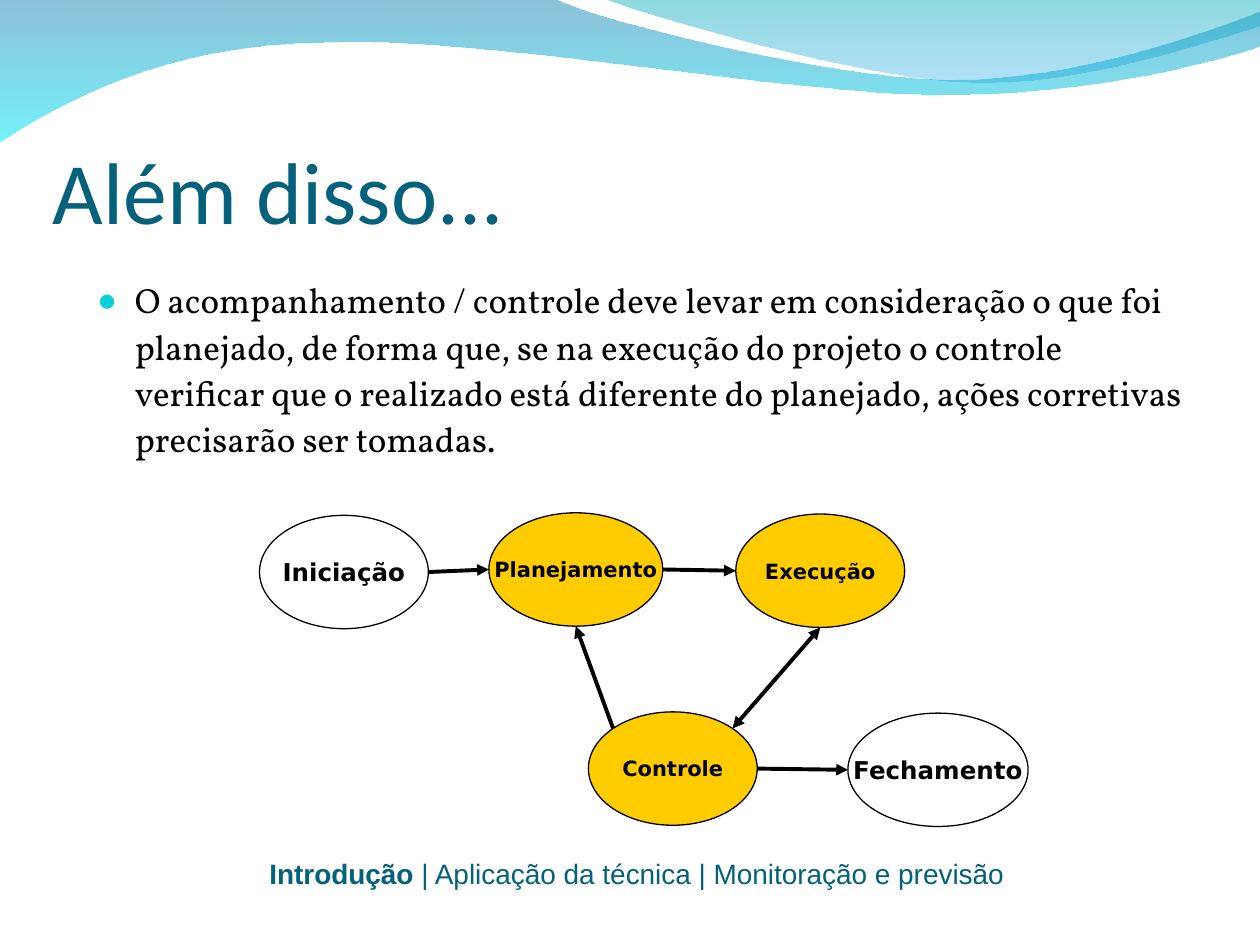
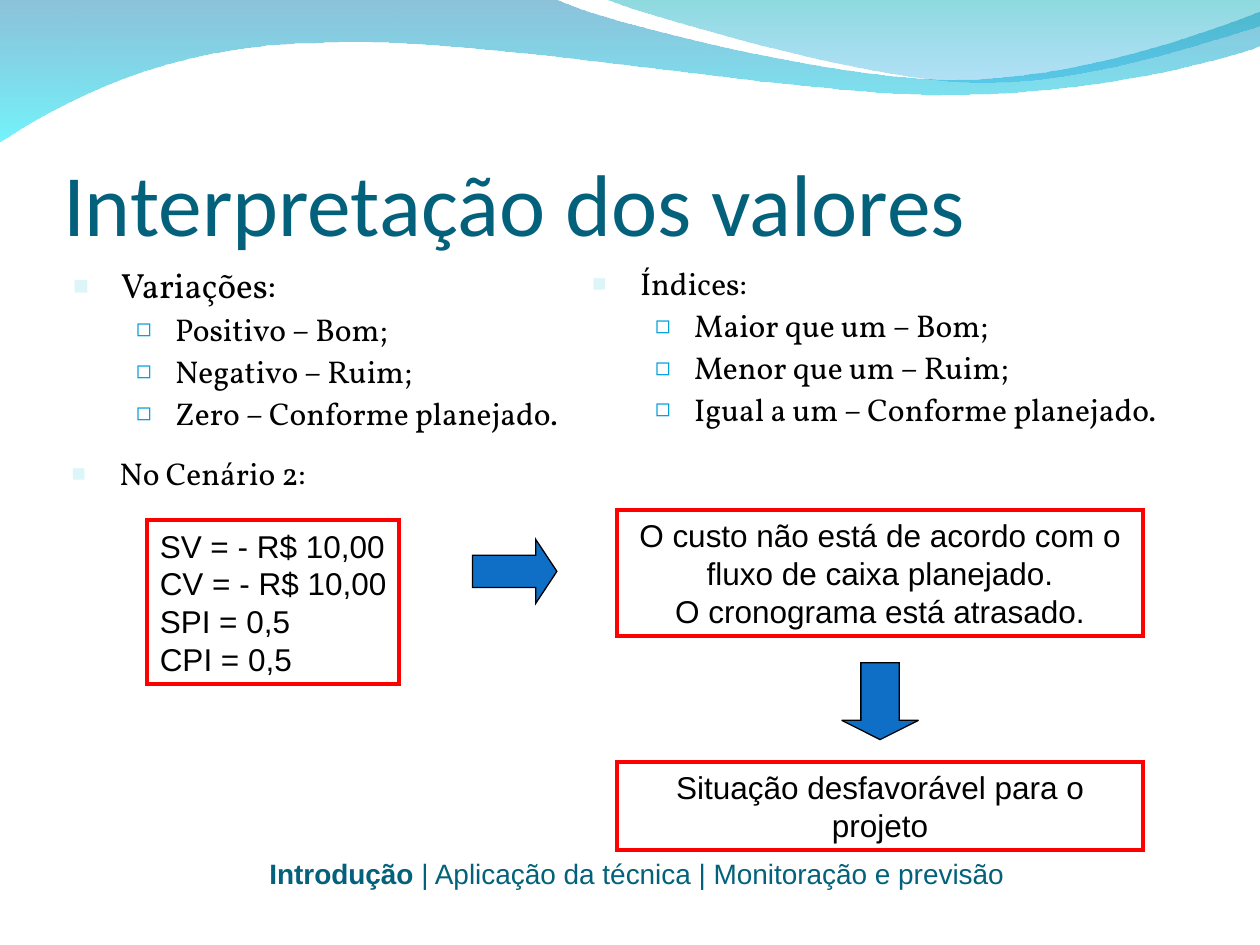
"""Build two slides on project control and on reading earned value figures."""
import math

import lxml.etree
import pptx
import pptx.dml.color
import pptx.enum.shapes
import pptx.enum.text
import pptx.oxml.ns
import pptx.util

Inches = pptx.util.Inches
Pt = pptx.util.Pt
SHAPE = pptx.enum.shapes.MSO_SHAPE
ALIGN = pptx.enum.text.PP_ALIGN
ANCHOR = pptx.enum.text.MSO_ANCHOR

TEAL, BLACK, GOLD, RED, BLUE = "04617B", "000000", "FFCC00", "FF0000", "0F6FC6"
TITLE_FONT, BODY_FONT, LABEL_FONT, NODE_FONT = "Calibri", "Vollkorn", "Arial", "DejaVu Sans"

FOOTER_ACTIVE = "Introdução"
FOOTER_REST = " | Aplicação da técnica | Monitoração e previsão "

# Each step holds one point for a line, or three for a curve.
WAVES = [
    {"start": (0, -0.01),
     "steps": [[(4.4, -0.01)], [(4.76, 0.17), (6.64, 0.63), (7.58, 0.63)],
               [(8.53, 0.63), (9.58, 0.26), (10, 0.09)], [(10.01, 0.36)],
               [(9.83, 0.44), (8.7, 0.76), (7.46, 0.75)],
               [(6.22, 0.75), (3.82, 0.28), (2.57, 0.34)],
               [(1.29, 0.35), (0.46, 0.83), (-0.01, 1.13)], [(0, -0.01)]],
     "stops": [("0079AF", 45), ("00EBF8", 55)]},
    {"start": (4.79, -0.01),
     "steps": [[(5.09, 0.11), (6.82, 0.62), (7.69, 0.65)],
               [(8.56, 0.69), (9.61, 0.32), (10, 0.21)], [(10, 0)], [(4.79, -0.01)]],
     "stops": [("00ADB6", 45), ("009BE5", 30)]},
]

BULLETS = {
    "dot": {"char": "●", "color": "0BD0D9", "percent": 95, "left": 0.3, "hang": 0.3,
            "spacing": 1.1, "before": 5, "level": 0},
    "square": {"char": "■", "color": "DBF5F9", "percent": 75, "left": 0.38, "hang": 0.38,
               "spacing": 0.9, "before": 5, "level": 0},
    "hollow": {"char": "◻", "color": "009DD9", "percent": 80, "left": 0.81, "hang": 0.31,
               "spacing": 0.9, "before": 4.5, "level": 1},
}

CONTROL_TEXT = [("dot", 20, "O acompanhamento / controle deve levar em consideração o que foi "
                 "planejado, de forma que, se na execução do projeto o controle verificar que o "
                 "realizado está diferente do planejado, ações corretivas precisarão ser tomadas.")]
VARIATIONS = [("square", 20, "Variações:"), ("hollow", 18, "Positivo – Bom;"),
              ("hollow", 18, "Negativo – Ruim;"), ("hollow", 18, "Zero – Conforme planejado.")]
INDEXES = [("square", 18, "Índices:"), ("hollow", 18, "Maior que um – Bom;"),
           ("hollow", 18, "Menor que um – Ruim;"), ("hollow", 18, "Igual a um – Conforme planejado.")]
SCENARIO = [("square", 18, "No Cenário 2:")]

PHASES = {
    "Fechamento": ((6.73, 5.66, 1.43, 0.9), None, 14),
    "Controle": ((4.67, 5.65, 1.34, 0.9), GOLD, 12),
    "Execução": ((5.84, 4.08, 1.34, 0.9), GOLD, 12),
    "Planejamento": ((3.88, 4.07, 1.38, 0.9), GOLD, 12),
    "Iniciação": ((2.06, 4.09, 1.34, 0.9), None, 14),
}
ANGLES = {"right": 0, "lower": 90, "left": 180, "upper left": 225, "upper right": 315}
FLOWS = [
    ("Iniciação", "right", "Planejamento", "left", False),
    ("Planejamento", "right", "Execução", "left", False),
    ("Execução", "lower", "Controle", "upper right", True),
    ("Controle", "right", "Fechamento", "left", False),
    ("Controle", "upper left", "Planejamento", "lower", False),
]

RESULT_BOXES = [
    ((4.9, 4.05, 4.17, 1), ALIGN.CENTER, True,
     ["O custo não está de acordo com o fluxo de caixa planejado.", "O cronograma está atrasado."]),
    ((1.17, 4.13, 2, 1.3), ALIGN.LEFT, False,
     ["SV = - R$ 10,00", "CV = - R$ 10,00", "SPI = 0,5", "CPI = 0,5"]),
    ((4.9, 6.05, 4.17, 0.7), ALIGN.CENTER, True, ["Situação desfavorável para o projeto"]),
]
BLOCK_ARROWS = [
    (SHAPE.RIGHT_ARROW, (3.75, 4.28, 0.67, 0.51), (0.5, 0.33)),
    (SHAPE.DOWN_ARROW, (6.68, 5.26, 0.61, 0.61), (0.5, 0.25)),
]


def rgb(value):
    return pptx.dml.color.RGBColor.from_string(value)


def add_xml(parent, tag, **attributes):
    return lxml.etree.SubElement(parent, pptx.oxml.ns.qn(tag), attributes)


def find_xml(parent, tag):
    return list(parent.iter(pptx.oxml.ns.qn(tag)))


def place(shape, area):
    shape.left, shape.top, shape.width, shape.height = map(Inches, area)


def set_font(target, name, size, color=BLACK, bold=False):
    target.font.name, target.font.size, target.font.bold = name, Pt(size), bold
    target.font.color.rgb = rgb(color)


def draw_outline(page, start, steps):
    """Draw a closed outline whose three-point steps become curves."""
    points = [(Inches(x), Inches(y)) for step in steps for x, y in step]
    builder = page.shapes.build_freeform(*map(Inches, start), scale=1.0)
    builder.add_line_segments(points, close=True)
    shape = builder.convert_to_shape()
    segments = iter(find_xml(shape.element, "a:lnTo"))
    for step in steps:
        group = [next(segments) for point in step]
        if len(group) == 3:
            curve = lxml.etree.Element(pptx.oxml.ns.qn("a:cubicBezTo"))
            group[0].addprevious(curve)
            for segment in group:
                curve.append(segment[0])
                segment.getparent().remove(segment)
    return shape


def add_waves(deck, page):
    """Draw the top waves and move them to the slide master."""
    for order, wave in enumerate(WAVES):
        shape = draw_outline(page, wave["start"], wave["steps"])
        shape.shadow.inherit = False
        shape.line.fill.background()
        shape.fill.gradient()
        shape.fill.gradient_angle = 270
        for stop, (color, opacity) in zip(shape.fill.gradient_stops, wave["stops"]):
            stop.color.rgb = rgb(color)
        for tint, (color, opacity) in zip(find_xml(shape.element, "a:gs"), wave["stops"]):
            add_xml(tint[0], "a:alpha", val=str(opacity * 1000))
        deck.slide_master.shapes.element.insert(2 + order, shape.element)


def add_title(page, text, area):
    box = page.shapes.title
    place(box, area)
    frame = box.text_frame
    frame.text = text
    frame.auto_size = pptx.enum.text.MSO_AUTO_SIZE.NONE
    frame.vertical_anchor = ANCHOR.BOTTOM
    frame.margin_left = frame.margin_right = frame.margin_bottom = 0
    frame.margin_top = Inches(0.05)
    frame.paragraphs[0].alignment = ALIGN.LEFT
    set_font(frame.paragraphs[0], TITLE_FONT, 50, TEAL)


def fill_list(box, area, items):
    place(box, area)
    frame = box.text_frame
    frame.word_wrap = True
    frame.auto_size = pptx.enum.text.MSO_AUTO_SIZE.NONE
    frame.text = "\n".join(text for kind, size, text in items)
    for order, (para, (kind, size, text)) in enumerate(zip(frame.paragraphs, items)):
        bullet = BULLETS[kind]
        para.level = bullet["level"]
        para.line_spacing = bullet["spacing"]
        para.space_before = Pt(bullet["before"] if order else 0)
        properties = para._p.get_or_add_pPr()
        properties.set("marL", str(Inches(bullet["left"])))
        properties.set("indent", str(-Inches(bullet["hang"])))
        add_xml(add_xml(properties, "a:buClr"), "a:srgbClr", val=bullet["color"])
        add_xml(properties, "a:buSzPct", val=str(bullet["percent"] * 1000))
        add_xml(properties, "a:buFont", typeface=LABEL_FONT)
        add_xml(properties, "a:buChar", char=bullet["char"])
        set_font(para, BODY_FONT, size)


def add_footer(page):
    box = page.shapes.add_textbox(*map(Inches, (1.92, 6.75, 6.33, 0.37)))
    box.text_frame.word_wrap = True
    para = box.text_frame.paragraphs[0]
    para.alignment = ALIGN.CENTER
    set_font(para, LABEL_FONT, 16, TEAL)
    for text, bold in ((FOOTER_ACTIVE, True), (FOOTER_REST, False)):
        span = para.add_run()
        span.text, span.font.bold = text, bold


def add_figure(page, kind, area, fill=None, line=BLACK, width=0.75):
    shape = page.shapes.add_shape(kind, *map(Inches, area))
    shape.shadow.inherit = False
    if fill:
        shape.fill.solid()
        shape.fill.fore_color.rgb = rgb(fill)
    else:
        shape.fill.background()
    shape.line.color.rgb = rgb(line)
    shape.line.width = Pt(width)
    add_xml(find_xml(shape.element, "a:ln")[0], "a:miter", lim="800000")
    return shape


def write_label(shape, lines, font, size, bold=False, align=ALIGN.CENTER,
                wrap=False, anchor=ANCHOR.MIDDLE):
    frame = shape.text_frame
    frame.text = "\n".join(lines)
    frame.word_wrap = wrap
    frame.vertical_anchor = anchor
    for para in frame.paragraphs:
        para.alignment = align
        set_font(para, font, size, bold=bold)


def rim_point(phase, side):
    """Return the point on the rim of a phase ellipse at the named side."""
    left, top, width, height = PHASES[phase][0]
    angle = math.radians(ANGLES[side])
    return (Inches(left + width / 2 * (1 + math.cos(angle))),
            Inches(top + height / 2 * (1 + math.sin(angle))))


def add_flow(page, source, source_side, target, target_side, both_ways):
    arrow = page.shapes.add_connector(pptx.enum.shapes.MSO_CONNECTOR.STRAIGHT,
                                      *rim_point(source, source_side),
                                      *rim_point(target, target_side))
    arrow.line.color.rgb = rgb(BLACK)
    arrow.line.width = Pt(2.25)
    outline = find_xml(arrow.element, "a:ln")[0]
    for tag in ("a:headEnd", "a:tailEnd") if both_ways else ("a:tailEnd",):
        add_xml(outline, tag, type="triangle")
    add_xml(arrow.element.spPr, "a:effectLst")


def build_control_page(page):
    add_title(page, "Além disso...", (0.42, 0.67, 9, 1.25))
    fill_list(page.placeholders[1], (0.67, 2.13, 8.93, 1.11), CONTROL_TEXT)
    add_footer(page)
    for name, (area, fill, size) in PHASES.items():
        ellipse = add_figure(page, SHAPE.OVAL, area, fill)
        write_label(ellipse, [name], NODE_FONT, size, bold=True)
    for flow in FLOWS:
        add_flow(page, *flow)


def build_values_page(page):
    add_title(page, "Interpretação dos valores", (0.5, 0.77, 9, 1.25))
    fill_list(page.placeholders[1], (0.48, 2.08, 4.14, 1.42), VARIATIONS)
    for area, align, wrap, lines in RESULT_BOXES:
        box = add_figure(page, SHAPE.RECTANGLE, area, line=RED, width=2.25)
        write_label(box, lines, LABEL_FONT, 18, align=align, wrap=wrap, anchor=ANCHOR.TOP)
    for kind, area, adjustments in BLOCK_ARROWS:
        arrow = add_figure(page, kind, area, BLUE)
        for index, value in enumerate(adjustments):
            arrow.adjustments[index] = value
    fill_list(page.placeholders[2], (4.6, 2.08, 4.89, 1.56), INDEXES)
    scenario_area = (0.47, 3.59, 8.93, 0.58)
    fill_list(page.shapes.add_textbox(*map(Inches, scenario_area)), scenario_area, SCENARIO)
    add_footer(page)


def main():
    deck = pptx.Presentation()
    deck.slide_width, deck.slide_height = Inches(10), Inches(7.5)
    control_page = deck.slides.add_slide(deck.slide_layouts[1])
    add_waves(deck, control_page)
    build_control_page(control_page)
    build_values_page(deck.slides.add_slide(deck.slide_layouts[3]))
    deck.save("out.pptx")


if __name__ == "__main__":
    main()
